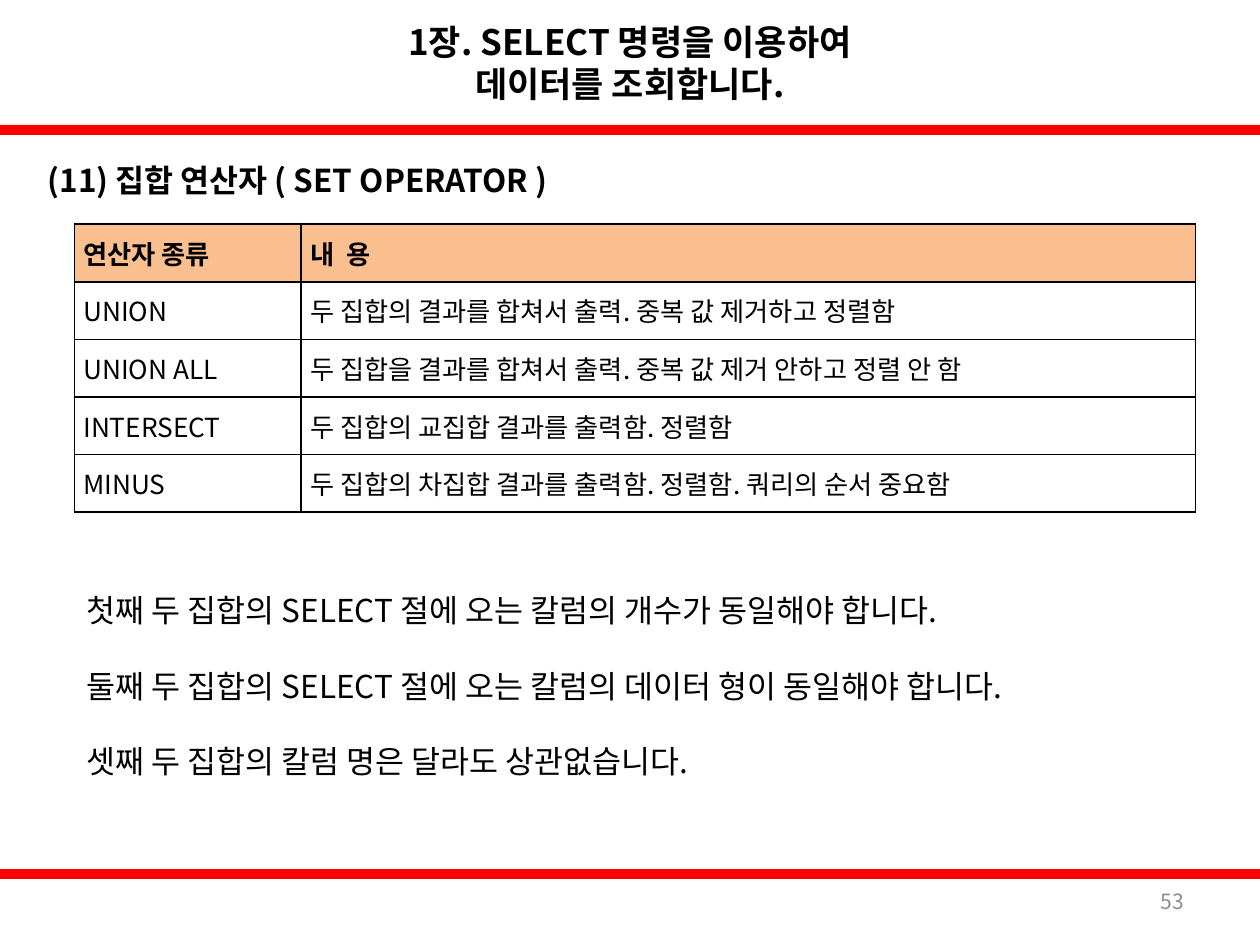
from lxml import etree
from pptx import Presentation
from pptx.dml.color import RGBColor
from pptx.enum import shapes, text
from pptx.oxml import ns
from pptx.util import Cm, Pt

FONT = "Noto Sans CJK KR"
COLORS = {"bar": "FF0000", "header": "FABF8F", "text": "000000", "number": "8C8C8C"}
TITLE = ["1장. SELECT 명령을 이용하여", "데이터를 조회합니다."]
HEADING = ["(11) 집합 연산자 ( SET OPERATOR )"]
OPERATORS = [
    ("연산자 종류", "내  용"),
    ("UNION", "두 집합의 결과를 합쳐서 출력. 중복 값 제거하고 정렬함"),
    ("UNION ALL", "두 집합을 결과를 합쳐서 출력. 중복 값 제거 안하고 정렬 안 함"),
    ("INTERSECT", "두 집합의 교집합 결과를 출력함. 정렬함"),
    ("MINUS", "두 집합의 차집합 결과를 출력함. 정렬함. 쿼리의 순서 중요함"),
]
RULES = [
    "첫째 두 집합의 SELECT 절에 오는 칼럼의 개수가 동일해야 합니다.",
    "둘째 두 집합의 SELECT 절에 오는 칼럼의 데이터 형이 동일해야 합니다.",
    "셋째 두 집합의 칼럼 명은 달라도 상관없습니다.",
]
PAGE = ["53"]
BAR_TOPS = (2.52, 17.52)
COLUMN_WIDTHS = (4.57, 18.03)
ROW_HEIGHT = 1.16


def rgb(name):
    return RGBColor.from_string(COLORS[name])


def style(p, size, color="text", bold=False, align=None):
    p.alignment = align
    p.font.size, p.font.bold, p.font.name = Pt(size), bold, FONT
    p.font.color.rgb = rgb(color)
    for r in p.runs:
        r.font.name = FONT
        ea = etree.SubElement(r.font._element, ns.qn("a:ea"))
        ea.set("typeface", FONT)


def add_text(s, box, lines, size, gap=0, **look):
    """Add a vertically centred box with one paragraph per line, gap points apart."""
    tf = s.shapes.add_textbox(*map(Cm, box)).text_frame
    tf.word_wrap = True
    tf.vertical_anchor = text.MSO_ANCHOR.MIDDLE
    for i, line in enumerate(lines):
        p = tf.paragraphs[0] if i == 0 else tf.add_paragraph()
        p.add_run().text = line
        p.line_spacing = Pt(size * 1.2)
        if i and gap:
            p.space_before = Pt(gap)
        style(p, size, **look)


def add_borders(cell):
    tc_pr = cell._tc.get_or_add_tcPr()
    for i, side in enumerate(("lnL", "lnR", "lnT", "lnB")):
        ln = etree.Element(ns.qn(f"a:{side}"), w=str(Pt(1)))
        fill = etree.SubElement(ln, ns.qn("a:solidFill"))
        etree.SubElement(fill, ns.qn("a:srgbClr"), val=COLORS["text"])
        tc_pr.insert(i, ln)


def add_operator_table(s):
    table = s.shapes.add_table(
        len(OPERATORS), len(COLUMN_WIDTHS), Cm(1.5), Cm(4.52),
        Cm(sum(COLUMN_WIDTHS)), Cm(ROW_HEIGHT * len(OPERATORS))).table
    table.horz_banding = False
    for column, width in zip(table.columns, COLUMN_WIDTHS):
        column.width = Cm(width)
    for i, row in enumerate(OPERATORS):
        table.rows[i].height = Cm(ROW_HEIGHT)
        for j, words in enumerate(row):
            cell = table.cell(i, j)
            cell.margin_left = cell.margin_right = Cm(0.18)
            cell.margin_top = cell.margin_bottom = 0
            cell.vertical_anchor = text.MSO_ANCHOR.MIDDLE
            if i == 0:
                cell.fill.solid()
                cell.fill.fore_color.rgb = rgb("header")
            else:
                cell.fill.background()
            add_borders(cell)
            p = cell.text_frame.paragraphs[0]
            p.add_run().text = words
            style(p, 15, bold=i == 0, align=text.PP_ALIGN.JUSTIFY)


def main():
    prs = Presentation()
    prs.slide_width, prs.slide_height = Cm(25.4), Cm(19.05)
    s = prs.slides.add_slide(prs.slide_layouts[6])
    for top in BAR_TOPS:
        bar = s.shapes.add_shape(shapes.MSO_SHAPE.RECTANGLE, 0, Cm(top),
                                 prs.slide_width, Cm(0.2))
        bar.shadow.inherit = False
        bar.fill.solid()
        bar.fill.fore_color.rgb = rgb("bar")
        bar.line.fill.background()
    add_text(s, (18.2, 17.65, 5.92, 1.02), PAGE, 12, color="number",
             align=text.PP_ALIGN.RIGHT)
    add_text(s, (4.2, 0, 17, 2.52), TITLE, 20, bold=True, align=text.PP_ALIGN.CENTER)
    add_operator_table(s)
    add_text(s, (1.5, 10.72, 22.6, 6.2), RULES, 18, gap=21.6)
    add_text(s, (0.71, 2.92, 23.6, 1.4), HEADING, 18, bold=True)
    prs.save("out.pptx")


if __name__ == "__main__":
    main()
